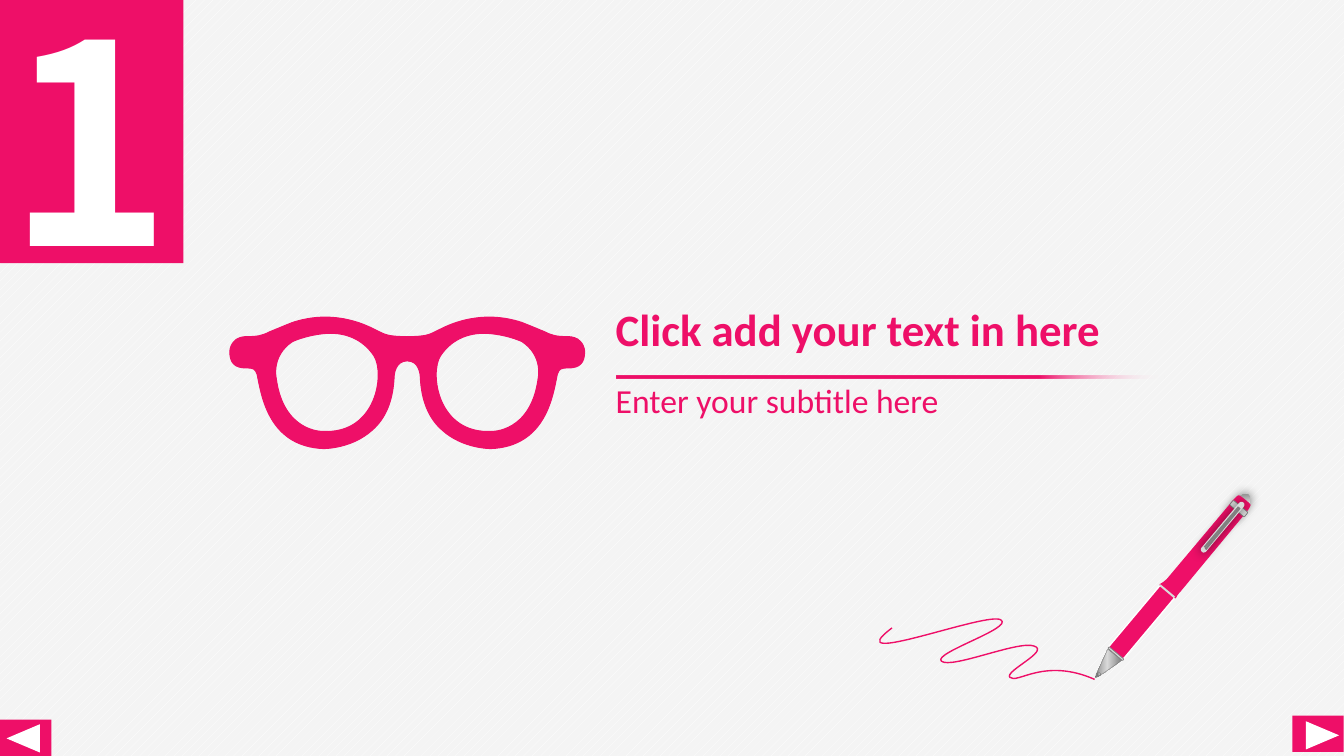
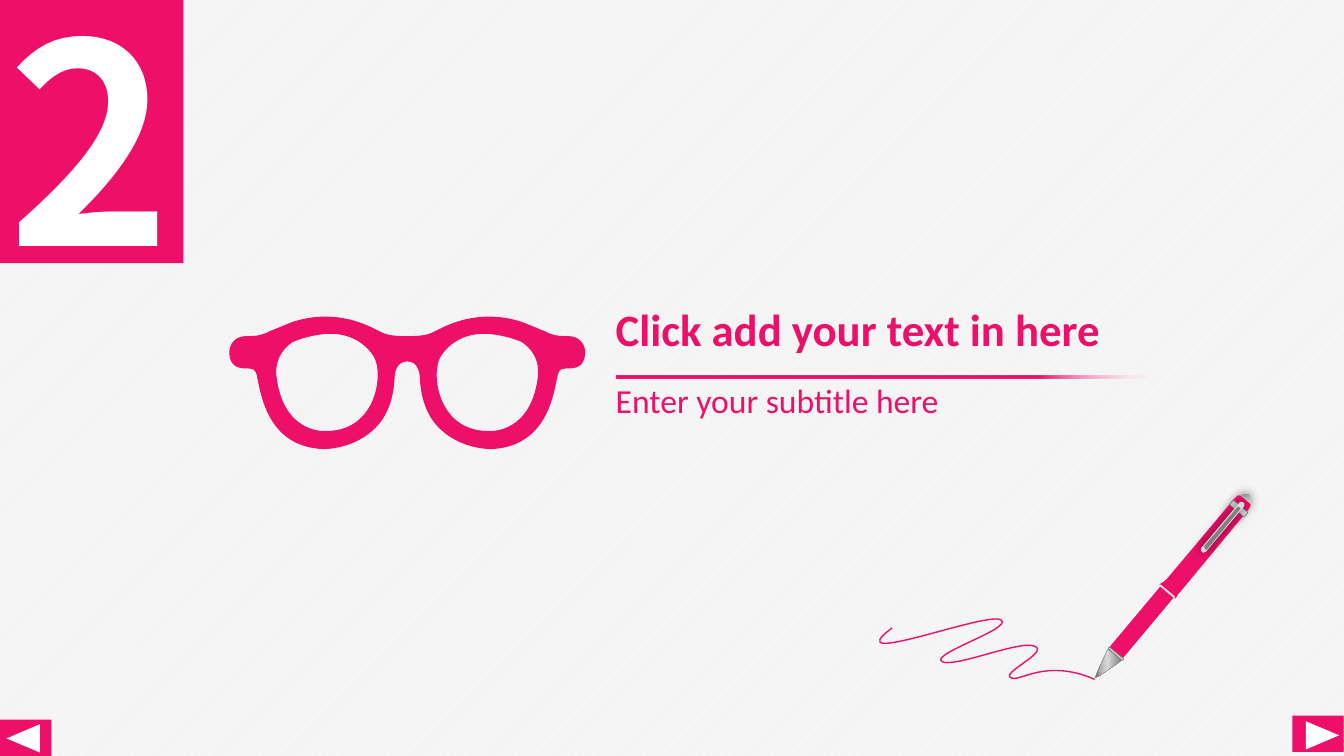
from math import cos, radians, sin

from lxml.etree import SubElement
from pptx import Presentation
from pptx.dml.color import RGBColor
from pptx.enum.dml import MSO_PATTERN
from pptx.enum.shapes import MSO_CONNECTOR, MSO_SHAPE as SHAPE
from pptx.enum.text import MSO_ANCHOR as ANCHOR, MSO_AUTO_SIZE as AUTO_SIZE
from pptx.oxml.ns import qn
from pptx.util import Pt

PX = 9144
HEIGHT = 750
COLORS = {
    "pink": "EE0F68",
    "white": "FFFFFF",
    "paper": "F4F4F4",
    "silver": "D9D9D9",
    "gray": "808080",
    "dark": "262626",
    "black": "000000",
}
PEN_ANGLE = 310
TIP_ANGLE = 220
MIRROR_SUM = 808

LEFT_FRAME = [
    (404, 334), (386, 334), (382, 332), (376, 329),
    (372, 327), (372, 327), (372, 327),
    (370, 326), (370, 326), (370, 326),
    (360, 321), (329, 307), (290, 320),
    (280, 324), (273, 327), (268, 329),
    (260, 333), (256, 334), (244, 334),
    (241, 334), (235, 335), (232, 339),
    (230, 341), (228, 345), (228, 349),
    (228, 360), (233, 365), (244, 365),
    (252, 365), (253, 366), (255, 371),
    (255, 372), (256, 374), (256, 376),
    (260, 395), (268, 443), (321, 445),
    (322, 445), (349, 445), (369, 427),
    (383, 415), (390, 397), (391, 374),
    (391, 372), (392, 358), (404, 358),
]
LEFT_LENS = [
    (320, 428), (320, 428), (281, 429), (274, 375),
    (274, 375), (269, 353), (290, 339),
    (290, 339), (302, 333), (321, 331),
    (340, 329), (359, 335), (371, 353),
    (382, 370), (374, 431), (320, 428),
]
SCRIBBLE = [
    (885, 623), (829, 665), (980, 606), (993, 615),
    (1006, 623), (925, 648), (934, 656),
    (944, 664), (1011, 635), (1026, 641),
    (1042, 646), (996, 666), (1002, 672),
    (1009, 679), (1036, 652), (1086, 674),
]
PEN_TIP = [
    (1088, 668), (1089, 667), (1089, 667), (1094, 662), (1096, 664),
    (1092, 669), (1092, 669), (1091, 670), (1087, 672), (1087, 672),
]
PEN_NIB = [(1099, 644), (1113, 655), (1093, 669), (1089, 666)]
PEN_BODY = [
    (1229, 492), (1230, 492), (1240, 500), (1240, 501),
    (1240, 502), (1237, 507), (1234, 510),
    (1171, 586), (1171, 586), (1171, 586),
    (1168, 589), (1167, 591), (1166, 593),
    (1151, 580), (1151, 580), (1151, 580),
    (1154, 579), (1155, 577), (1158, 575),
    (1221, 500), (1221, 500), (1221, 500),
    (1224, 496), (1228, 492), (1229, 492),
]


def color(name):
    return RGBColor.from_string(COLORS[name])


def mirror(points):
    return [(MIRROR_SUM - x, y) for x, y in reversed(points)]


def local_points(points, box, rotation):
    left, top, width, height = box
    turn = radians(-rotation)
    result = []
    for x, y in points:
        across, down = x - left - width / 2, y - top - height / 2
        result.append((
            round((across * cos(turn) - down * sin(turn) + width / 2) * PX),
            round((across * sin(turn) + down * cos(turn) + height / 2) * PX),
        ))
    return result


def add_step(path, tag, points):
    step = SubElement(path, qn(tag))
    for x, y in points:
        SubElement(step, qn("a:pt"), x=str(x), y=str(y))


class Deck:
    def __init__(self):
        self.presentation = Presentation()
        self.presentation.slide_width = HEIGHT * PX * 16 // 9
        self.presentation.slide_height = HEIGHT * PX
        self.slide = None
        self.shapes = None

    def new_slide(self):
        layout = self.presentation.slide_layouts[6]
        self.slide = self.presentation.slides.add_slide(layout)
        self.shapes = self.slide.shapes
        fill = self.slide.background.fill
        fill.patterned()
        fill.pattern = MSO_PATTERN.PERCENT_20
        fill.fore_color.rgb = color("white")
        fill.back_color.rgb = color("paper")

    def start_group(self):
        self.shapes = self.slide.shapes.add_group_shape().shapes

    def end_group(self):
        self.shapes = self.slide.shapes

    def gradient(self, shape, stops, angle):
        shape.fill.gradient()
        shape.fill.gradient_angle = angle
        gradient = shape.element.spPr.find(qn("a:gradFill"))
        gradient.set("rotWithShape", "0")
        stop_list = gradient.find(qn("a:gsLst"))
        for old_stop in list(stop_list):
            stop_list.remove(old_stop)
        for position, name, alpha in stops:
            stop = SubElement(stop_list, qn("a:gs"), pos=str(position * 1000))
            tone = SubElement(stop, qn("a:srgbClr"), val=COLORS[name])
            if alpha < 100:
                SubElement(tone, qn("a:alpha"), val=str(alpha * 1000))

    def glow(self, shape):
        effects = shape.element.spPr.find(qn("a:effectLst"))
        shadow = SubElement(effects, qn("a:outerShdw"), blurRad=str(Pt(8)),
                            dist="0", dir="0", algn="ctr", rotWithShape="0")
        tone = SubElement(shadow, qn("a:srgbClr"), val=COLORS["black"])
        SubElement(tone, qn("a:alpha"), val="60000")

    def paint(self, shape, rotation=0, fill=None, line=None, weight=1, angle=0, glow=False):
        shape.rotation = rotation
        shape.shadow.inherit = False
        if fill is None:
            shape.fill.background()
        elif isinstance(fill, str):
            shape.fill.solid()
            shape.fill.fore_color.rgb = color(fill)
        else:
            self.gradient(shape, fill, angle)
        if line is None:
            shape.line.fill.background()
        else:
            shape.line.color.rgb = color(line)
            shape.line.width = Pt(weight)
        if glow:
            self.glow(shape)

    def shape(self, kind, left, top, width, height, corner=None, **style):
        shape = self.shapes.add_shape(kind, left * PX, top * PX, width * PX, height * PX)
        if corner is not None:
            shape.adjustments[0] = corner
        self.paint(shape, **style)

    def outline(self, box, *contours, rotation=0, curved=True, closed=True, **style):
        left, top, width, height = box
        builder = self.shapes.build_freeform(left * PX, top * PX)
        builder.add_line_segments([((left + width) * PX, (top + height) * PX)], close=False)
        shape = builder.convert_to_shape()
        path = shape.element.spPr.find(".//" + qn("a:path"))
        for old_step in list(path):
            path.remove(old_step)
        tag, size = ("a:cubicBezTo", 3) if curved else ("a:lnTo", 1)
        for contour in contours:
            points = local_points(contour, box, rotation)
            add_step(path, "a:moveTo", points[:1])
            for index in range(1, len(points), size):
                add_step(path, tag, points[index:index + size])
            if closed:
                SubElement(path, qn("a:close"))
        self.paint(shape, rotation=rotation, **style)

    def line(self, start, end, name, weight):
        ends = [value * PX for value in (*start, *end)]
        connector = self.shapes.add_connector(MSO_CONNECTOR.STRAIGHT, *ends)
        connector.line.color.rgb = color(name)
        connector.line.width = Pt(weight)
        SubElement(connector.element.spPr, qn("a:effectLst"))

    def text(self, text, left, top, width, height, size, name="pink", font="Calibri",
             bold=False, anchor=ANCHOR.MIDDLE, spacing=None, grow=False):
        box = self.shapes.add_textbox(left * PX, top * PX, width * PX, height * PX)
        frame = box.text_frame
        frame.word_wrap = True
        frame.vertical_anchor = anchor
        frame.auto_size = AUTO_SIZE.SHAPE_TO_FIT_TEXT if grow else AUTO_SIZE.NONE
        paragraph = frame.paragraphs[0]
        if spacing:
            paragraph.line_spacing = spacing
        run = paragraph.add_run()
        run.text = text
        run.font.size = Pt(size)
        run.font.name = font
        run.font.bold = bold
        run.font.color.rgb = color(name)

    def navigation(self):
        for button_left, button_top, turn, arrow_left, arrow_top, arrow_turn in (
            (0, 714, 0, 9, 716, 270),
            (1282, 710, 180, 1298, 713, 90),
        ):
            self.shape(SHAPE.RECTANGLE, button_left, button_top, 51, 36,
                       rotation=turn, fill="pink")
            self.shape(SHAPE.ISOSCELES_TRIANGLE, arrow_left, arrow_top, 28, 33,
                       rotation=arrow_turn, fill="white")

    def heading(self, title, subtitle):
        self.text(title, 601, 295, 600, 68, 32, bold=True, spacing=0.9)
        fade = [(0, "pink", 100), (77, "pink", 100), (100, "white", 0)]
        self.shape(SHAPE.RECTANGLE, 612, 373, 543, 3, fill=fade)
        self.text(subtitle, 601, 376, 611, 42, 24)

    def glasses(self):
        frame = LEFT_FRAME + mirror(LEFT_FRAME)[1:]
        self.outline((228, 307, 352, 138), frame, mirror(LEFT_LENS), LEFT_LENS,
                     fill="pink", line="pink", weight=0.75)

    def pen_part(self, left, top, width, height, corner=0.5, **style):
        self.shape(SHAPE.ROUNDED_RECTANGLE, left, top, width, height,
                   rotation=PEN_ANGLE, corner=corner, **style)

    def pen(self):
        cap = [(0, "gray", 100), (51, "white", 100), (100, "gray", 100)]
        tip = [(0, "dark", 100), (36, "gray", 100), (65, "white", 100),
               (80, "white", 100), (100, "dark", 100)]
        nib = [(0, "gray", 100), (50, "silver", 100), (100, "gray", 100)]
        self.start_group()
        self.pen_part(1215, 497, 29, 11, fill=cap, angle=90, glow=True)
        self.outline((1089, 661, 3, 12), PEN_TIP, rotation=TIP_ANGLE, curved=False,
                     fill=tip, line="gray", weight=0.75)
        self.pen_part(1092, 608, 81, 19, corner=0.11, fill="pink", line="white")
        self.outline((1090, 647, 17, 24), PEN_NIB, rotation=TIP_ANGLE, curved=False,
                     fill=nib, angle=180, line="gray", weight=0.25)
        self.outline((1138, 531, 118, 19), PEN_BODY, rotation=PEN_ANGLE,
                     fill="pink", line="pink")
        self.shape(SHAPE.RECTANGLE, 1157, 577, 2, 19, rotation=PEN_ANGLE, fill="silver")
        self.pen_part(1106, 639, 2, 19, corner=0.37, fill="silver", line="gray", weight=0.5)
        self.pen_part(1226, 495, 6, 19, corner=0.2, fill="silver", line="gray", weight=0.5)
        self.pen_part(1181, 520, 64, 6, fill="silver", glow=True)
        self.line((1196, 545), (1230, 504), "gray", 1.5)
        self.line((1195, 543), (1229, 503), "gray", 1.5)
        self.end_group()

    def number(self, text):
        self.shape(SHAPE.RECTANGLE, 0, 0, 182, 261, fill="pink")
        self.text(text, -2, -37, 368, 345, 199, name="white", font="Noto Sans CJK SC",
                  bold=True, anchor=ANCHOR.TOP, grow=True)

    def section(self, number, title, subtitle):
        self.new_slide()
        self.navigation()
        self.heading(title, subtitle)
        self.glasses()
        self.pen()
        self.outline((873, 614, 213, 60), SCRIBBLE, closed=False, line="pink")
        self.number(number)


def main():
    deck = Deck()
    for number in ("1", "2"):
        deck.section(number, "Click add your text in here", "Enter your subtitle here")
    deck.presentation.save("out.pptx")


if __name__ == "__main__":
    main()
